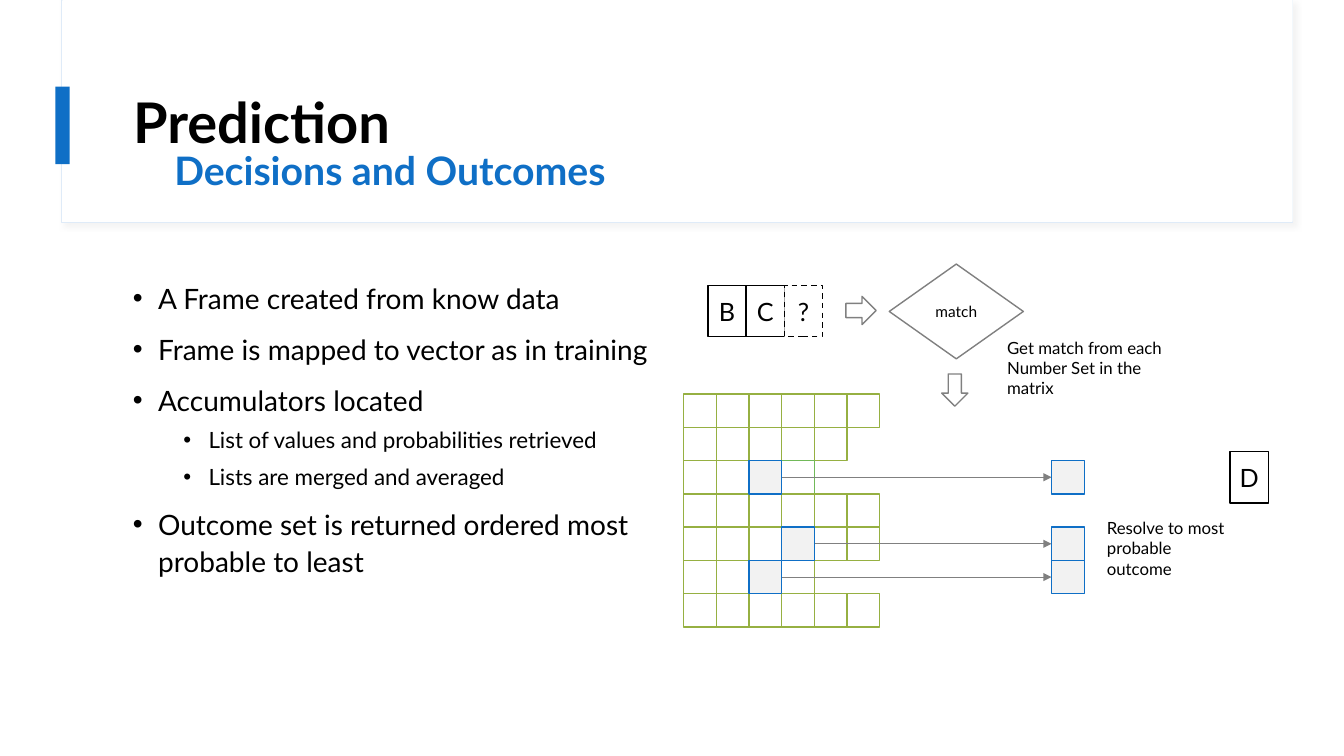
from lxml.etree import SubElement
from pptx import Presentation
from pptx.dml.color import RGBColor
from pptx.enum.dml import MSO_LINE as Dash
from pptx.enum.shapes import MSO_CONNECTOR as Link, MSO_SHAPE as Kind
from pptx.enum.text import MSO_ANCHOR as Anchor, PP_ALIGN as Align
from pptx.oxml.ns import qn
from pptx.util import Inches, Pt

BLACK, WHITE, BLUE = "000000", "FFFFFF", "0F6FC6"
GREEN, MINT, GREY, PALE = "96B042", "71B959", "808080", "F2F2F2"

LEFT, TOP = 6.78, 3.91
COL, ROW = 1.62 / 5, 0.33
COUNTS = [6, 5, 4, 6, 6, 4, 6]
HITS = {2: 2, 4: 3, 5: 2}  # matrix row: matched column
OUT = 10.43

POINTS = [
    ("A Frame created from know data", 0),
    ("Frame is mapped to vector as in training", 0),
    ("Accumulators located", 0),
    ("List of values and probabilities retrieved", 1),
    ("Lists are merged and averaged", 1),
    ("Outcome set is returned ordered most probable to least", 0),
]


def color(code):
    return RGBColor.from_string(code)


def assign(target, values):
    for name, value in values.items():
        setattr(target, name, value)


def write(para, text, size, code=BLACK, bold=False, **form):
    run = para.add_run()
    run.text = text
    assign(run.font, {"name": "Lato", "size": Pt(size), "bold": bold})
    run.font.color.rgb = color(code)
    assign(para, form)


def block(slide, box, kind=Kind.RECTANGLE, fill=WHITE, line=None, width=1,
          text="", size=18, dash=None, turn=0):
    shape = slide.shapes.add_shape(kind, *map(Inches, box))
    shape.shadow.inherit = False
    shape.rotation = turn
    shape.fill.solid()
    shape.fill.fore_color.rgb = color(fill)
    if line:
        shape.line.color.rgb = color(line)
        shape.line.width = Pt(width)
        if dash:
            shape.line.dash_style = dash
    else:
        shape.line.fill.background()
    if text:
        frame = shape.text_frame
        assign(frame, {"margin_left": 0, "margin_right": 0,
                       "vertical_anchor": Anchor.MIDDLE})
        write(frame.paragraphs[0], text, size, alignment=Align.CENTER)
    return shape


def shade(shape):
    """Give the shape a soft shadow towards the lower right."""
    effects = shape._element.spPr.find(qn("a:effectLst"))
    outer = SubElement(effects, qn("a:outerShdw"), blurRad=str(Pt(4)),
                       dist=str(Pt(3)), dir="2700000", algn="tl")
    tint = SubElement(outer, qn("a:srgbClr"), val="D9D9D9")
    SubElement(tint, qn("a:alpha"), val="30000")


def label(slide, box, lines, size=12, anchor=Anchor.TOP, **form):
    frame = slide.shapes.add_textbox(*map(Inches, box)).text_frame
    assign(frame, {"word_wrap": True, "vertical_anchor": anchor})
    for i, text in enumerate(lines):
        para = frame.add_paragraph() if i else frame.paragraphs[0]
        write(para, text, size, **form)
    return frame


def arrow(slide, left, right, y):
    link = slide.shapes.add_connector(
        Link.STRAIGHT, *map(Inches, (left, y, right, y)))
    link.line.color.rgb = color(GREY)
    link.line.width = Pt(0.5)
    SubElement(link.line._get_or_add_ln(), qn("a:tailEnd"), type="triangle")
    SubElement(link._element.spPr, qn("a:effectLst"))


def header(slide):
    shade(block(slide, (0.61, 0, 12.21, 2.21), line="DFEBF8", width=0.75))
    block(slide, (0.62, 0, 12.2, 2.2))
    block(slide, (0.55, 0.86, 0.14, 0.77), fill=BLUE)
    title = slide.shapes.title
    assign(title, dict(zip(("left", "top", "width", "height"),
                           map(Inches, (1.22, 0.6, 11.12, 1.29)))))
    title.text_frame.vertical_anchor = Anchor.MIDDLE
    write(title.text_frame.paragraphs[0], "Prediction", 40, bold=True,
          alignment=Align.LEFT, line_spacing=0.9)
    slide.shapes._spTree.append(title._element)  # in front of the frame
    label(slide, (1.63, 1.42, 11.12, 0.59), ["Decisions and Outcomes"], 28,
          Anchor.MIDDLE, code=BLUE, bold=True, line_spacing=0.9)


def bullets(slide):
    frame = label(slide, (1.22, 2.71, 5.86, 4.04), [])
    for i, (text, level) in enumerate(POINTS):
        para = frame.add_paragraph() if i else frame.paragraphs[0]
        write(para, text, 16 if level else 20, level=level, line_spacing=1.1,
              space_before=Pt(5 if level else 10))
        props = para._p.get_or_add_pPr()
        props.set("marL", str(Inches(0.25 + 0.5 * level)))
        props.set("indent", str(Inches(-0.25)))
        SubElement(props, qn("a:buFont"), typeface="Arial")
        SubElement(props, qn("a:buChar"), char="•")


def matrix(slide):
    def cell(row, left, **look):
        block(slide, (left, TOP + row * ROW, COL, ROW), **look)

    for row, count in enumerate(COUNTS):
        for col in range(count):
            if HITS.get(row) != col:
                line = MINT if (row, col) == (2, 3) else GREEN
                cell(row, LEFT + col * COL, line=line)
    for row, col in HITS.items():
        left = LEFT + col * COL
        arrow(slide, left + COL, OUT, TOP + (row + 0.5) * ROW)
        for x in (left, OUT):
            cell(row, x, fill=PALE, line=BLUE)


def flow(slide):
    for i, text in enumerate("BC?"):
        block(slide, (7.02 + 0.38 * i, 2.83, 0.38, 0.51), line=BLACK,
              text=text, dash=Dash.DASH if text == "?" else None)
    block(slide, (12.2, 4.48, 0.38, 0.51), line=BLACK, text="D")
    block(slide, (8.82, 2.62, 1.33, 0.94), Kind.FLOWCHART_DECISION,
          line=GREY, text="match", size=11)
    block(slide, (9.34, 3.71, 0.26, 0.32), Kind.DOWN_ARROW, line=GREY)
    block(slide, (8.4, 2.93, 0.28, 0.3), Kind.DOWN_ARROW, line=GREY, turn=270)
    label(slide, (9.89, 3.3, 1.95, 0.7),
          ["Get match from each", "Number Set in the matrix"])
    label(slide, (10.88, 5.09, 1.46, 0.7),
          ["Resolve to most", "probable outcome"])


def main():
    deck = Presentation()
    assign(deck, {"slide_width": Inches(13.33), "slide_height": Inches(7.5)})
    slide = deck.slides.add_slide(deck.slide_layouts[5])
    for build in (header, bullets, matrix, flow):
        build(slide)
    deck.save("out.pptx")


if __name__ == "__main__":
    main()
